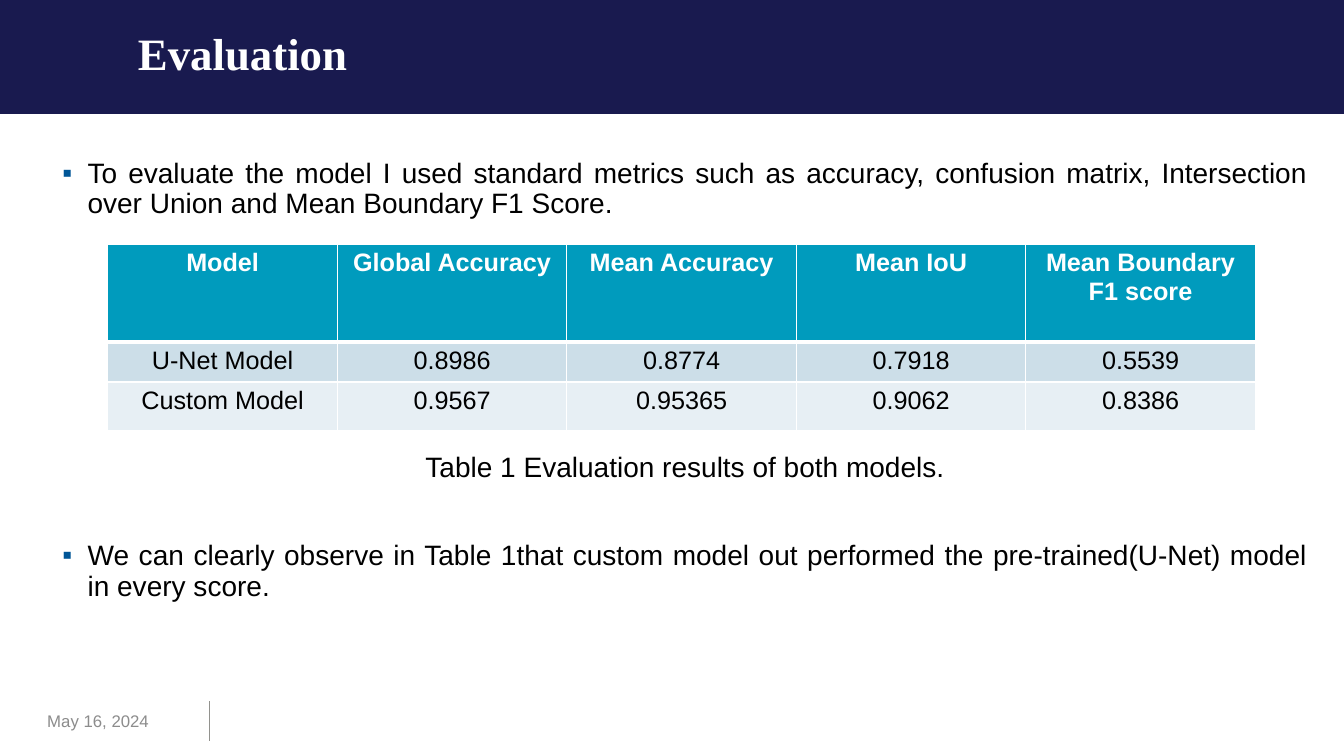
from dataclasses import dataclass

from lxml.etree import SubElement
from pptx import Presentation
from pptx.dml.color import RGBColor
from pptx.enum.shapes import MSO_CONNECTOR, MSO_SHAPE
from pptx.enum.text import MSO_ANCHOR, PP_ALIGN
from pptx.oxml.ns import qn
from pptx.util import Inches, Pt

TITLE = "Evaluation"
DATE = "May 16, 2024"
# text, bulleted, space before in points (the first gap holds the table)
BODY = [
    ("To evaluate the model I used standard metrics such as accuracy, confusion matrix, "
     "Intersection over Union and Mean Boundary F1 Score.", True, 0),
    ("Table 1 Evaluation results of both models.", False, 167),
    ("We can clearly observe in Table 1that custom model out performed the "
     "pre-trained(U-Net) model in every score.", True, 41.4),
]
RESULTS = [
    ("Model", "Global Accuracy", "Mean Accuracy", "Mean IoU", "Mean Boundary F1 score"),
    ("U-Net Model", "0.8986", "0.8774", "0.7918", "0.5539"),
    ("Custom Model", "0.9567", "0.95365", "0.9062", "0.8386"),
]
ROW_HEIGHTS = (0.97, 0.39, 0.48)
TABLE_BOX = (1.07, 2.42, 11.38, sum(ROW_HEIGHTS))


@dataclass(frozen=True)
class Theme:
    font: str = "Arial"
    title_font: str = "Times New Roman"
    title_size: float = 32
    body_size: float = 20
    table_size: float = 18
    date_size: float = 12
    white: str = "FFFFFF"
    black: str = "000000"
    banner: str = "191A4F"
    bullet: str = "005697"
    date: str = "8C8C8C"
    divider: str = "92928E"
    row_fills: tuple = ("009BBD", "CCDEE8", "E7EFF4")


THEME = Theme()


def rgb(color):
    return RGBColor.from_string(color)


def inches(*values):
    return [Inches(value) for value in values]


def set_font(paragraph, name, size, color, bold=False):
    font = paragraph.font
    font.name, font.size, font.bold = name, Pt(size), bold
    font.color.rgb = rgb(color)


def add_text_frame(slide, box, anchor=MSO_ANCHOR.TOP):
    frame = slide.shapes.add_textbox(*inches(*box)).text_frame
    frame.word_wrap = True
    frame.vertical_anchor = anchor
    return frame


def add_bullet(paragraph):
    properties = paragraph._p.get_or_add_pPr()
    properties.set("marL", str(Inches(0.25)))
    properties.set("indent", str(Inches(-0.25)))
    color = SubElement(properties, qn("a:buClr"))
    SubElement(color, qn("a:srgbClr"), val=THEME.bullet)
    SubElement(properties, qn("a:buFont"), typeface=THEME.font)
    SubElement(properties, qn("a:buChar"), char="▪")


def set_borders(cell, top, bottom):
    """Draw white borders; must run before the cell gets its fill."""
    properties = cell._tc.get_or_add_tcPr()
    for side, width in (("L", 1), ("R", 1), ("T", top), ("B", bottom)):
        line = SubElement(properties, qn(f"a:ln{side}"), w=str(Pt(width)))
        fill = SubElement(line, qn("a:solidFill"))
        SubElement(fill, qn("a:srgbClr"), val=THEME.white)


def add_banner(slide):
    banner = slide.shapes.add_shape(MSO_SHAPE.RECTANGLE, *inches(0, 0, 13.33, 1.13))
    banner.shadow.inherit = False
    banner.fill.solid()
    banner.fill.fore_color.rgb = rgb(THEME.banner)
    banner.line.fill.background()


def add_footer(slide):
    divider = slide.shapes.add_connector(
        MSO_CONNECTOR.STRAIGHT, *inches(2.08, 7.35, 2.08, 6.95))
    divider.line.color.rgb = rgb(THEME.divider)
    divider.line.width = Pt(1)
    SubElement(divider._element.spPr, qn("a:effectLst"))
    date = add_text_frame(slide, (0.37, 6.95, 1.88, 0.4), MSO_ANCHOR.MIDDLE).paragraphs[0]
    date.text = DATE
    set_font(date, THEME.font, THEME.date_size, THEME.date)


def add_body(slide):
    frame = add_text_frame(slide, (0.52, 1.53, 12.55, 5.29))
    for index, (text, bulleted, gap) in enumerate(BODY):
        paragraph = frame.add_paragraph() if index else frame.paragraphs[0]
        paragraph.text = text
        paragraph.alignment = PP_ALIGN.JUSTIFY if bulleted else PP_ALIGN.CENTER
        paragraph.line_spacing = 0.9
        paragraph.space_before = Pt(gap)
        if bulleted:
            add_bullet(paragraph)
        set_font(paragraph, THEME.font, THEME.body_size, THEME.black)


def add_title(slide):
    title = add_text_frame(slide, (1.27, -0.01, 11.57, 1.13), MSO_ANCHOR.MIDDLE).paragraphs[0]
    title.text = TITLE
    title.line_spacing = 0.9
    set_font(title, THEME.title_font, THEME.title_size, THEME.white, bold=True)


def add_results(slide):
    column_count = len(RESULTS[0])
    table = slide.shapes.add_table(len(RESULTS), column_count, *inches(*TABLE_BOX)).table
    for column in table.columns:
        column.width = Inches(TABLE_BOX[2] / column_count)
    for row_index, (values, height) in enumerate(zip(RESULTS, ROW_HEIGHTS)):
        is_header = row_index == 0
        table.rows[row_index].height = Inches(height)
        for cell, value in zip(table.rows[row_index].cells, values):
            set_borders(cell, top=3 if row_index == 1 else 1, bottom=3 if is_header else 1)
            cell.fill.solid()
            cell.fill.fore_color.rgb = rgb(THEME.row_fills[row_index])
            cell.text = value
            paragraph = cell.text_frame.paragraphs[0]
            paragraph.alignment = PP_ALIGN.CENTER
            set_font(paragraph, THEME.font, THEME.table_size,
                     THEME.white if is_header else THEME.black, bold=is_header)


def main():
    presentation = Presentation()
    presentation.slide_width, presentation.slide_height = inches(13.33, 7.5)
    slide = presentation.slides.add_slide(presentation.slide_layouts[6])
    add_banner(slide)
    add_footer(slide)
    add_body(slide)
    add_title(slide)
    add_results(slide)
    presentation.save("out.pptx")


if __name__ == "__main__":
    main()
